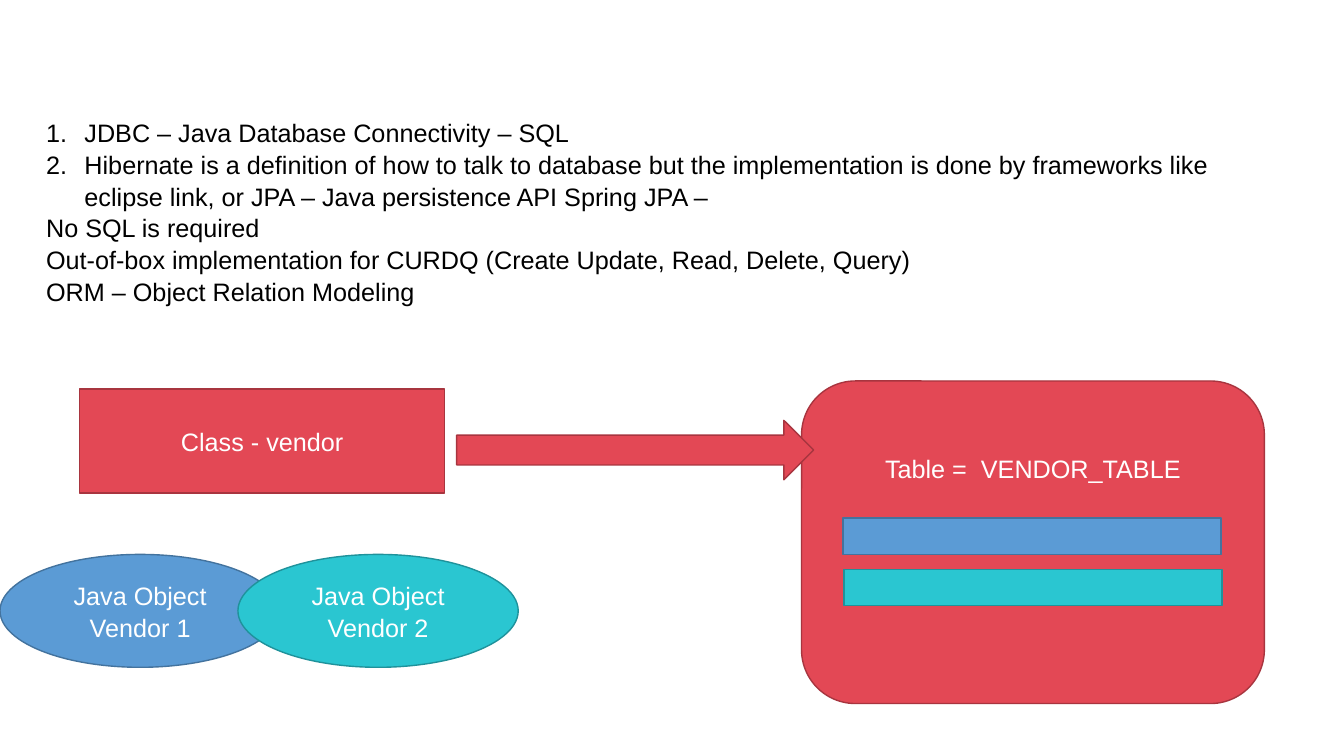
from lxml import etree
from pptx import Presentation
from pptx.dml.color import RGBColor
from pptx.enum import shapes, text
from pptx.oxml.ns import qn
from pptx.util import Inches, Pt

NOTES = [
    ("JDBC – Java Database Connectivity – SQL", True),
    ("Hibernate is a definition of how to talk to database but the implementation "
     "is done by frameworks like eclipse link, or JPA – Java persistence API Spring JPA –", True),
    ("No SQL is required", False),
    ("Out-of-box implementation for CURDQ (Create Update, Read, Delete, Query)", False),
    ("ORM – Object Relation Modeling", False),
]
NOTES_BOX = (0.36, 1.1, 12.43, 1.92)
NUMBER_INDENT = 0.38
RED, BLUE, TEAL = ("E34855", "A8353F"), ("5B9BD5", "43739E"), ("2AC6D1", "1F929B")
KIND = shapes.MSO_SHAPE
DIAGRAM = [
    (KIND.OVAL, (0, 5.5, 2.78, 1.12), BLUE, ["Java Object", "Vendor 1"]),
    (KIND.ROUNDED_RECTANGLE, (7.95, 3.78, 4.59, 3.2), RED, ["Table =  VENDOR_TABLE"]),
    (KIND.RECTANGLE, (0.79, 3.86, 3.62, 1.03), RED, ["Class - vendor"]),
    (KIND.OVAL, (2.36, 5.5, 2.78, 1.12), TEAL, ["Java Object", "Vendor 2"]),
    (KIND.RIGHT_ARROW, (4.53, 4.17, 3.54, 0.59), RED, []),
    (KIND.RECTANGLE, (8.36, 5.14, 3.75, 0.36), BLUE, []),
    (KIND.RECTANGLE, (8.37, 5.65, 3.75, 0.36), TEAL, []),
]
TABLE_TEXT_TOP = 0.55


def paint(color_format, hex_color):
    color_format.rgb = RGBColor.from_string(hex_color)


def style(paragraph, hex_color, alignment):
    paragraph.alignment = alignment
    paragraph.line_spacing = 1.05
    paragraph.font.name = "Arial"
    paragraph.font.size = Pt(18)
    paint(paragraph.font.color, hex_color)


def number(paragraph):
    properties = paragraph._p.get_or_add_pPr()
    properties.set("marL", str(Inches(NUMBER_INDENT)))
    properties.set("indent", str(-Inches(NUMBER_INDENT)))
    etree.SubElement(properties, qn("a:buFont"), typeface="+mj-lt")
    etree.SubElement(properties, qn("a:buAutoNum"), type="arabicPeriod")


def add_notes(slide):
    frame = slide.shapes.add_textbox(*map(Inches, NOTES_BOX)).text_frame
    frame.word_wrap = True
    frame.text = "\n".join(line for line, _ in NOTES)
    for paragraph, (_, numbered) in zip(frame.paragraphs, NOTES):
        if numbered:
            number(paragraph)
        style(paragraph, "000000", text.PP_ALIGN.LEFT)


def add_diagram_part(slide, kind, box, colors, lines):
    shape = slide.shapes.add_shape(kind, *map(Inches, box))
    shape.shadow.inherit = False
    shape.fill.solid()
    paint(shape.fill.fore_color, colors[0])
    paint(shape.line.color, colors[1])
    shape.line.width = Pt(1)
    if not lines:
        return
    frame = shape.text_frame
    frame.word_wrap = True
    frame.vertical_anchor = text.MSO_ANCHOR.MIDDLE
    if kind == KIND.ROUNDED_RECTANGLE:
        frame.vertical_anchor = text.MSO_ANCHOR.TOP
        frame.margin_top = Inches(TABLE_TEXT_TOP)
    frame.text = "\n".join(lines)
    for paragraph in frame.paragraphs:
        style(paragraph, "FFFFFF", text.PP_ALIGN.CENTER)


def main():
    presentation = Presentation()
    presentation.slide_width = Inches(13.33)
    presentation.slide_height = Inches(7.5)
    slide = presentation.slides.add_slide(presentation.slide_layouts[6])
    add_notes(slide)
    for part in DIAGRAM:
        add_diagram_part(slide, *part)
    presentation.save("out.pptx")


if __name__ == "__main__":
    main()
